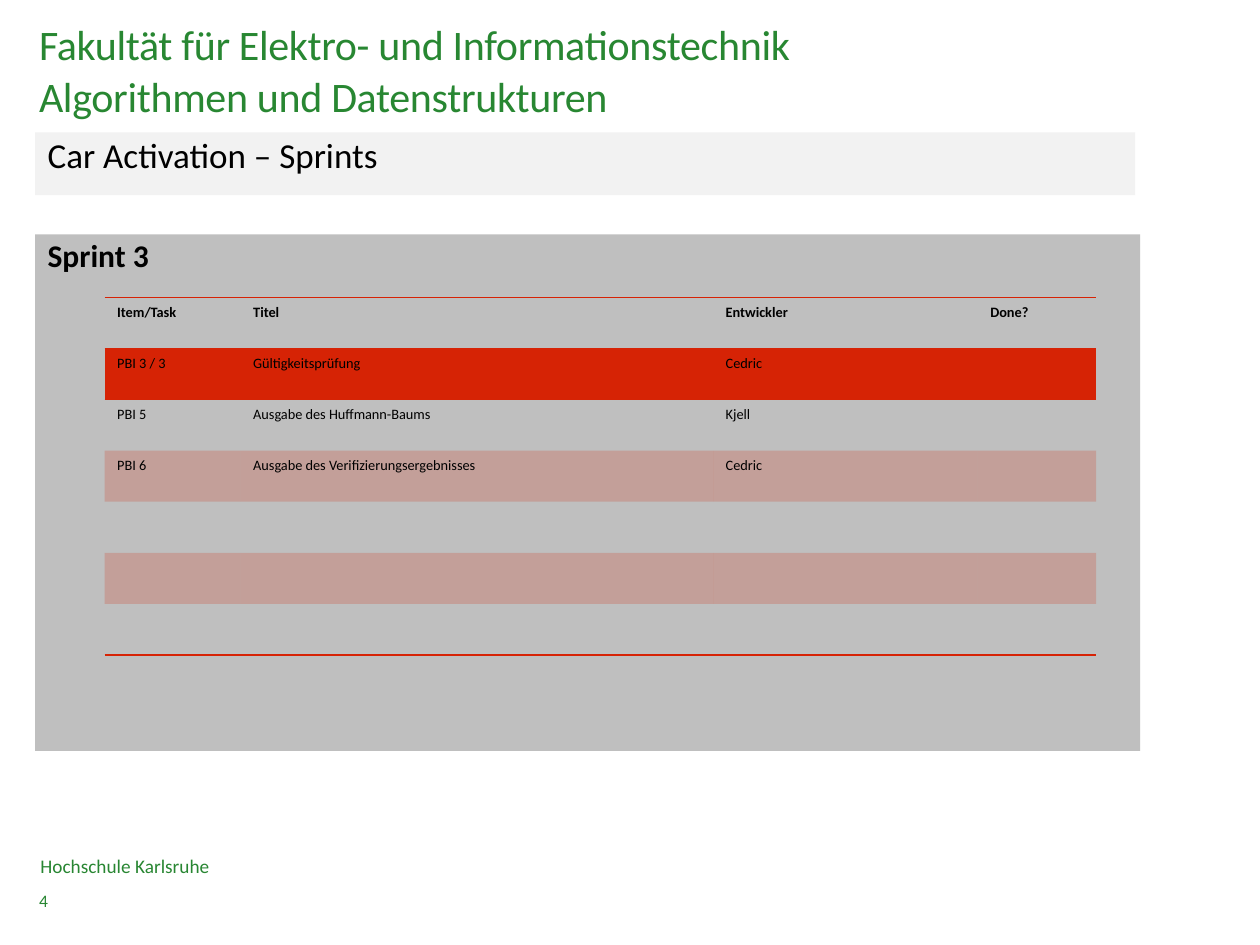
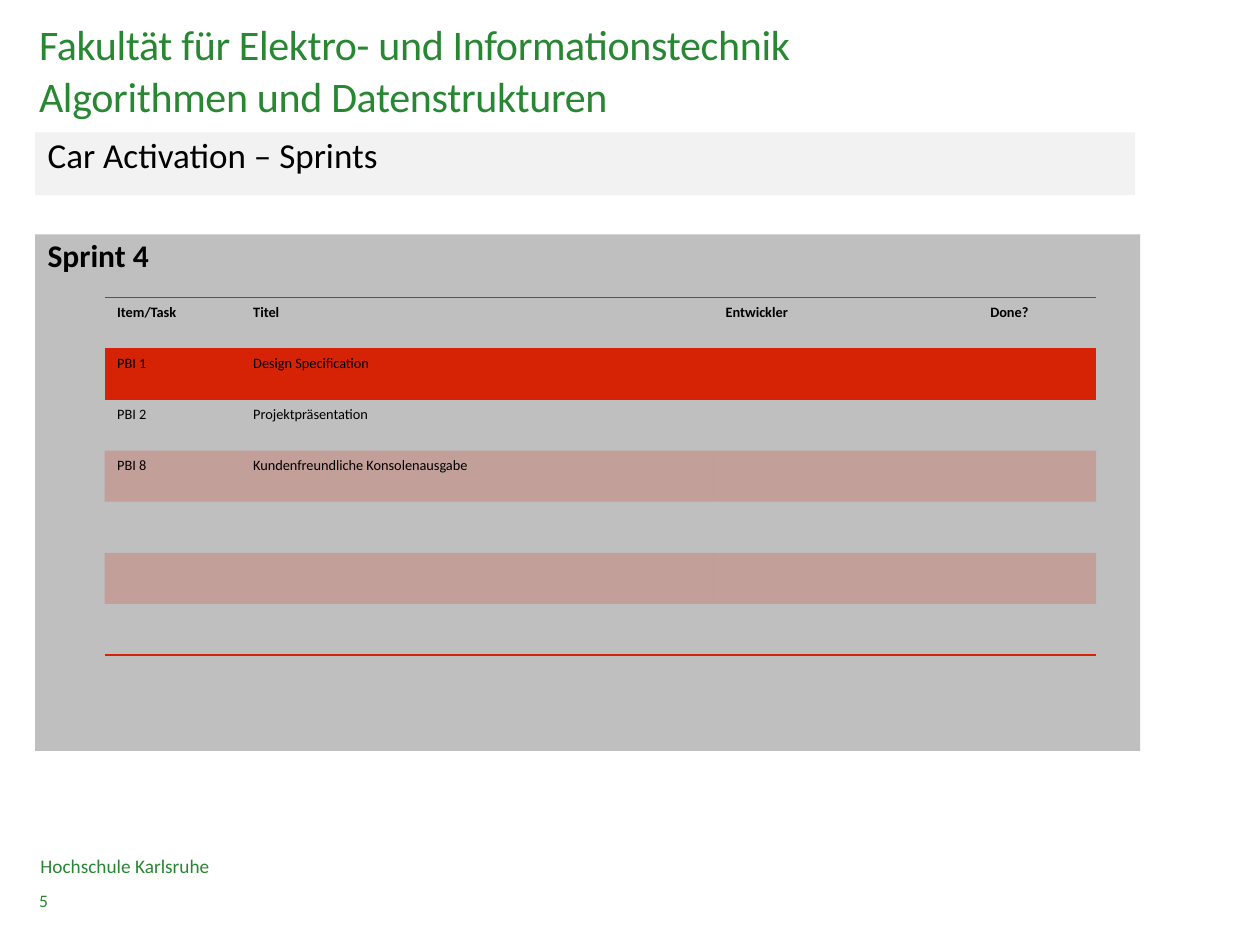
from dataclasses import dataclass
from typing import Optional

from lxml.etree import SubElement
from pptx import Presentation
from pptx.dml.color import RGBColor
from pptx.dml.fill import FillFormat
from pptx.enum.shapes import MSO_SHAPE
from pptx.enum.text import MSO_ANCHOR, MSO_AUTO_SIZE, PP_ALIGN
from pptx.oxml.ns import qn
from pptx.slide import Slide
from pptx.table import Table, _Cell
from pptx.text.text import TextFrame
from pptx.util import Inches, Length, Pt

FONT = "Calibri"
TITLE_GREEN = "288732"
FOOTER_GREEN = "288632"
RED = "D62305"
BLACK = "000000"
HEADING_GRAY = "F2F2F2"
PANEL_GRAY = "BFBFBF"
TITLE = "Fakultät für Elektro- und Informationstechnik\nAlgorithmen und Datenstrukturen"
HEADERS = ("Item/Task", "Titel", "Entwickler", "Done?")
COLUMN_WIDTHS = (1.08, 3.75, 2.1, 0.94)
ROW_COUNT = 7
NO_STYLE_ID = "{2D5ABB26-0587-4C30-8999-92F81FD0307C}"


@dataclass(frozen=True)
class Box:
    """Position and size in inches."""

    left: float
    top: float
    width: float
    height: float

    def lengths(self) -> tuple[Length, ...]:
        """Return the four values as lengths."""
        return tuple(Inches(value) for value in (self.left, self.top, self.width, self.height))


@dataclass(frozen=True)
class Sprint:
    """A sprint with its page number and its table rows."""

    name: str
    page: int
    items: tuple[tuple[str, ...], ...]


TITLE_BOX = Box(0.31, 0.13, 8.7, 0.92)
HEADING_BOX = Box(0.28, 1.05, 8.73, 0.5)
PANEL_BOX = Box(0.28, 1.86, 8.77, 4.1)
TABLE_BOX = Box(0.83, 2.36, sum(COLUMN_WIDTHS), 2.84)
FOOTER_BOX = Box(0.32, 6.82, 8.69, 0.11)
PAGE_BOX = Box(0.31, 7.06, 3.38, 0.11)

SPRINTS = (
    Sprint("Sprint 3", 4, (
        ("PBI 3 / 3", "Gültigkeitsprüfung", "Cedric"),
        ("PBI 5", "Ausgabe des Huffmann-Baums", "Kjell"),
        ("PBI 6", "Ausgabe des Verifizierungsergebnisses", "Cedric"),
    )),
    Sprint("Sprint 4", 5, (
        ("PBI 1", "Design Specification"),
        ("PBI 2", "Projektpräsentation"),
        ("PBI 8", "Kundenfreundliche Konsolenausgabe"),
    )),
)


def rgb(color: str) -> RGBColor:
    """Turn a hex string into a colour."""
    return RGBColor.from_string(color)


def write_text(frame: TextFrame, text: str, *, size: float, color: str = BLACK,
               bold: bool = False, line_spacing: Optional[float] = None,
               character_spacing: Optional[int] = None,
               anchor: MSO_ANCHOR = MSO_ANCHOR.TOP, margins: bool = True) -> None:
    """Fill a text frame with left-aligned lines in one format."""
    frame.text = text
    frame.word_wrap = True
    frame.auto_size = MSO_AUTO_SIZE.NONE
    frame.vertical_anchor = anchor
    if not margins:
        frame.margin_left = frame.margin_top = frame.margin_right = frame.margin_bottom = 0
    for paragraph in frame.paragraphs:
        paragraph.alignment = PP_ALIGN.LEFT
        if line_spacing is not None:
            paragraph.line_spacing = line_spacing
        for run in paragraph.runs:
            run.font.name = FONT
            run.font.size = Pt(size)
            run.font.bold = bold
            run.font.color.rgb = rgb(color)
            if character_spacing is not None:
                run.font._element.set("spc", str(character_spacing))


def add_title(slide: Slide) -> None:
    """Place the shared title in the title placeholder."""
    title = slide.shapes.title
    title.left, title.top, title.width, title.height = TITLE_BOX.lengths()
    write_text(title.text_frame, TITLE, size=24, color=TITLE_GREEN, line_spacing=Pt(30),
               character_spacing=-20, margins=False)


def add_band(slide: Slide, box: Box, fill: str, text: str, *, size: float,
             bold: bool = False) -> None:
    """Draw a filled rectangle with text at its top left."""
    shape = slide.shapes.add_shape(MSO_SHAPE.RECTANGLE, *box.lengths())
    shape.shadow.inherit = False
    shape.fill.solid()
    shape.fill.fore_color.rgb = rgb(fill)
    shape.line.fill.background()
    write_text(shape.text_frame, text, size=size, bold=bold, line_spacing=0.9)


def add_label(slide: Slide, box: Box, text: str, *, size: float,
              anchor: MSO_ANCHOR = MSO_ANCHOR.TOP) -> None:
    """Add one line of footer text."""
    label = slide.shapes.add_textbox(*box.lengths())
    write_text(label.text_frame, text, size=size, color=FOOTER_GREEN, anchor=anchor,
               margins=False)


def add_border(cell: _Cell, edge: str) -> None:
    """Draw a red line of one point on a cell edge."""
    line = SubElement(cell._tc.get_or_add_tcPr(), qn(f"a:{edge}"), w=str(Pt(1)))
    solid_fill = SubElement(line, qn("a:solidFill"))
    SubElement(solid_fill, qn("a:srgbClr"), val=RED)


def fill_translucent(fill: FillFormat, color: str, percent: int) -> None:
    """Apply a solid fill with the given opacity."""
    fill.solid()
    fill.fore_color.rgb = rgb(color)
    color_element = fill._xPr.find(f".//{qn('a:solidFill')}/{qn('a:srgbClr')}")
    SubElement(color_element, qn("a:alpha"), val=str(percent * 1000))


def format_cell(cell: _Cell, row_index: int) -> None:
    """Set the borders and the banding that belong to a row."""
    if row_index == 0:
        add_border(cell, "lnT")
    if row_index in (0, ROW_COUNT - 1):
        add_border(cell, "lnB")
    if row_index == 1:
        add_border(cell, "lnT")
    if row_index % 2:
        fill_translucent(cell.fill, RED, 20)
    else:
        cell.fill.background()


def add_sprint_table(slide: Slide, sprint: Sprint) -> Table:
    """Add the task table of a sprint."""
    frame = slide.shapes.add_table(ROW_COUNT, len(HEADERS), *TABLE_BOX.lengths())
    table = frame.table
    table._tbl.tblPr.find(qn("a:tableStyleId")).text = NO_STYLE_ID
    for column, width in zip(table.columns, COLUMN_WIDTHS):
        column.width = Inches(width)
    for row_index, row in enumerate(table.rows):
        for cell in row.cells:
            format_cell(cell, row_index)
    for row_index, texts in enumerate((HEADERS, *sprint.items)):
        for column_index, text in enumerate(texts):
            write_text(table.cell(row_index, column_index).text_frame, text, size=8.2,
                       bold=row_index == 0)
    return table


def add_sprint_slide(presentation: Presentation, sprint: Sprint) -> None:
    """Build the slide of one sprint."""
    slide = presentation.slides.add_slide(presentation.slide_layouts[5])
    add_title(slide)
    add_label(slide, PAGE_BOX, str(sprint.page), size=10)
    add_label(slide, FOOTER_BOX, "Hochschule Karlsruhe", size=11, anchor=MSO_ANCHOR.MIDDLE)
    add_band(slide, HEADING_BOX, HEADING_GRAY, "Car Activation – Sprints", size=20)
    add_band(slide, PANEL_BOX, PANEL_GRAY, sprint.name, size=18, bold=True)
    add_sprint_table(slide, sprint)


def main() -> None:
    """Build and save the presentation."""
    presentation = Presentation()
    presentation.slide_width = Inches(10)
    presentation.slide_height = Inches(7.5)
    for sprint in SPRINTS:
        add_sprint_slide(presentation, sprint)
    presentation.save("out.pptx")


if __name__ == "__main__":
    main()
